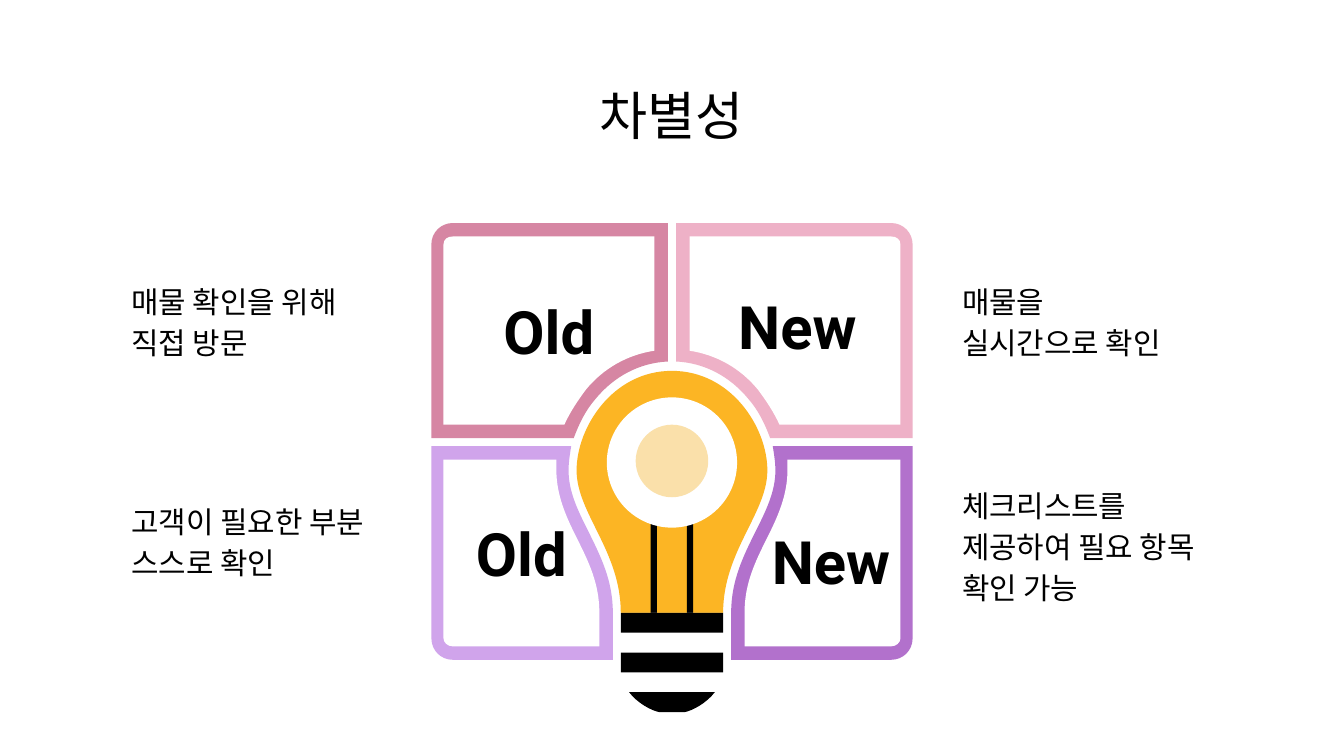
import pptx
import pptx.dml.color
import pptx.enum.shapes
import pptx.enum.text
import pptx.util
from lxml import etree
from pptx.oxml.ns import qn

Pt = pptx.util.Pt
PP_ALIGN = pptx.enum.text.PP_ALIGN
ANCHOR = pptx.enum.text.MSO_ANCHOR
RGB = pptx.dml.color.RGBColor.from_string

COLORS = {
    "black": "000000", "white": "FFFFFF", "rose": "D686A3", "pink": "EEB1C7",
    "lilac": "D0A4EB", "purple": "B271CC", "bulb": "FCB524", "glow": "FAE0AA",
}
BODY = {"name": "Noto Sans CJK KR", "size": Pt(16)}
TITLE = {"name": "Noto Sans CJK KR", "size": Pt(28)}
LABEL = {"name": "Roboto", "size": Pt(32), "bold": True}
CENTER_X = 360

prs = pptx.Presentation()
prs.slide_width, prs.slide_height = Pt(720), Pt(405)
s = prs.slides.add_slide(prs.slide_layouts[5])


def write(sp, lines, font, align=PP_ALIGN.LEFT, anchor=ANCHOR.TOP, paragraph={}):
    tf = sp.text_frame
    frame = {"word_wrap": True, "vertical_anchor": anchor,
             "auto_size": pptx.enum.text.MSO_AUTO_SIZE.NONE}
    for side in ("left", "top", "right", "bottom"):
        frame["margin_" + side] = Pt(7.2)
    for key, value in frame.items():
        setattr(tf, key, value)
    for i, line in enumerate(lines):
        p = tf.add_paragraph() if i else tf.paragraphs[0]
        p.alignment = align
        for key, value in paragraph.items():
            setattr(p, key, value)
        p.space_before = Pt(16 if i else 0)
        r = p.add_run()
        r.text = line
        for key, value in font.items():
            setattr(r.font, key, value)
        r.font.color.rgb = RGB(COLORS["black"])
        etree.SubElement(r._r.get_or_add_rPr(), qn("a:ea"), typeface=font["name"])


def draw(color, *contours, mirror=False, symmetric=False):
    """Fill contours of points (x, y) and cubic curves (x1, y1, x2, y2, x, y).

    mirror flips them about the centre line; symmetric adds the flipped half.
    """
    fb, steps = None, []
    for contour in contours:
        path = [list(zip(step[::2], step[1::2])) for step in contour]
        flipped = [[(2 * CENTER_X - x, y) for x, y in step] for step in path]
        if symmetric:
            path.append(flipped[-1][-1:])
            for i in range(len(flipped) - 1, 0, -1):
                path.append(flipped[i][-2::-1] + flipped[i - 1][-1:])
        elif mirror:
            path = flipped
        path = [[(Pt(x), Pt(y)) for x, y in step] for step in path]
        if fb is None:
            fb = s.shapes.build_freeform(*path[0][0])
        else:
            fb.move_to(*path[0][0])
        fb.add_line_segments([step[-1] for step in path[1:]], close=False)
        fb.add_line_segments([], close=True)
        steps += path[1:]
    sp = fb.convert_to_shape()
    # Turn the straight steps that have control points into curves
    for line, step in zip(list(sp._element.iter(qn("a:lnTo"))), steps):
        if len(step) == 3:
            line.tag = qn("a:cubicBezTo")
            line.remove(line[0])
            for x, y in step:
                etree.SubElement(line, qn("a:pt"), x=str(x - sp.left), y=str(y - sp.top))
    paint(sp, color)
    return sp


def paint(sp, color):
    sp.shadow.inherit = False
    sp.fill.solid()
    sp.fill.fore_color.rgb = RGB(COLORS[color])
    sp.line.fill.background()


# Title
title = s.shapes.title
title.left, title.top, title.width, title.height = Pt(225), Pt(42.5), Pt(270), Pt(38)
write(title, ["차별성"], TITLE, PP_ALIGN.CENTER, ANCHOR.MIDDLE)

# Four panels: each left one is mirrored to the right
top_outer = [(242.6, 119.5), (236.2, 119.5, 231.1, 124.6, 231.1, 131), (231.1, 234.7),
             (307.4, 234.7), (310.3, 226.8, 313.9, 219.6, 319, 213.8),
             (329, 201.6, 342.7, 194.4, 357.8, 193.7), (357.8, 119.5)]
top_inner = [(242.6, 126.7), (239.8, 126.7, 237.6, 128.2, 237.6, 131), (237.6, 227.5),
             (302.4, 227.5), (305.3, 221, 309.6, 214.6, 313.9, 208.8),
             (323.3, 197.3, 336.2, 190.1, 350.6, 187.9), (350.6, 126.7)]
bottom_outer = [(231.1, 239), (231.1, 342), (231.1, 348.5, 236.2, 353.5, 242.6, 353.5),
                (328.3, 353.5), (328.3, 328.3), (328.3, 311, 321.8, 298.1, 315.4, 285.1),
                (309.6, 273.6, 304.6, 263.5, 304.6, 252),
                (304.6, 247.7, 305.3, 243.4, 306, 239)]
bottom_inner = [(237.6, 246.2), (237.6, 342), (237.6, 344.2, 239.8, 346.3, 242.6, 346.3),
                (321.1, 346.3), (321.1, 328.3), (321.1, 312.5, 315.4, 301, 308.9, 288),
                (303.1, 276.5, 298.1, 265, 298.1, 252),
                (298.1, 249.8, 298.1, 247.7, 298.1, 246.2)]
for outer, inner, left_color, right_color in [
    (top_outer, top_inner, "rose", "pink"),
    (bottom_outer, bottom_inner, "lilac", "purple"),
]:
    draw(left_color, outer)
    write(draw("white", inner), ["Old"], LABEL, PP_ALIGN.CENTER, ANCHOR.MIDDLE)
    draw(right_color, outer, mirror=True)
    draw("white", inner, mirror=True)

# Light bulb
draw("bulb", [(360, 198.7), (328.3, 198.7, 308.9, 229, 308.9, 252),
              (308.9, 275, 332.6, 295.2, 332.6, 328.3)], symmetric=True)
draw("black", [(352, 265), (352, 260.6), (352, 257.8, 349.9, 252.7, 344.2, 252.7),
               (338.4, 252.7, 336.7, 257.8, 336.7, 260.6),
               (336.7, 264.2, 338.4, 268.6, 344.2, 268.6), (348.6, 268.6),
               (348.6, 328.3), (352, 328.3), (352, 268.6)], symmetric=True)
tip = [(337, 370.8), (341.3, 376.6, 349.2, 380.9, 353.5, 381.6)]
draw("white", [(332.6, 328.3), (332.6, 362.2), (332.6, 365, 334.1, 367.9, 337, 370.8),
               tip[1]], symmetric=True)
for color, center_y, diameter in [("white", 247.8, 69.8), ("glow", 247, 38.9)]:
    disc = s.shapes.add_shape(
        pptx.enum.shapes.MSO_SHAPE.OVAL, Pt(CENTER_X - diameter / 2),
        Pt(center_y - diameter / 2), Pt(diameter), Pt(diameter))
    paint(disc, color)
bands = [[(332.6, y), (332.6, y + 10.6)] for y in (328.3, 349.6)]
draw("black", *bands, tip, symmetric=True)

# Texts beside the panels, and labels of the right panels
tight = {"line_spacing": 0.3}
for x, y, w, h, lines, font, paragraph in [
    (63.4, 156.2, 141, 42, ["매물 확인을 위해", "직접 방문"], BODY, tight),
    (508.3, 265.7, 168, 60, ["체크리스트를", "제공하여 필요 항목", "확인 가능"], BODY, tight),
    (508.3, 156.2, 141, 42, ["매물을", "실시간으로 확인"], BODY, tight),
    (63.4, 274.3, 162, 42, ["고객이 필요한 부분", "스스로 확인"], BODY, tight),
    (406.4, 274, 88.6, 53.3, ["New"], LABEL, {}),
    (388.4, 148.3, 88.6, 53.3, ["New"], LABEL, {}),
]:
    box = s.shapes.add_textbox(Pt(x), Pt(y), Pt(w), Pt(h))
    write(box, lines, font, paragraph=paragraph)

prs.save("out.pptx")
